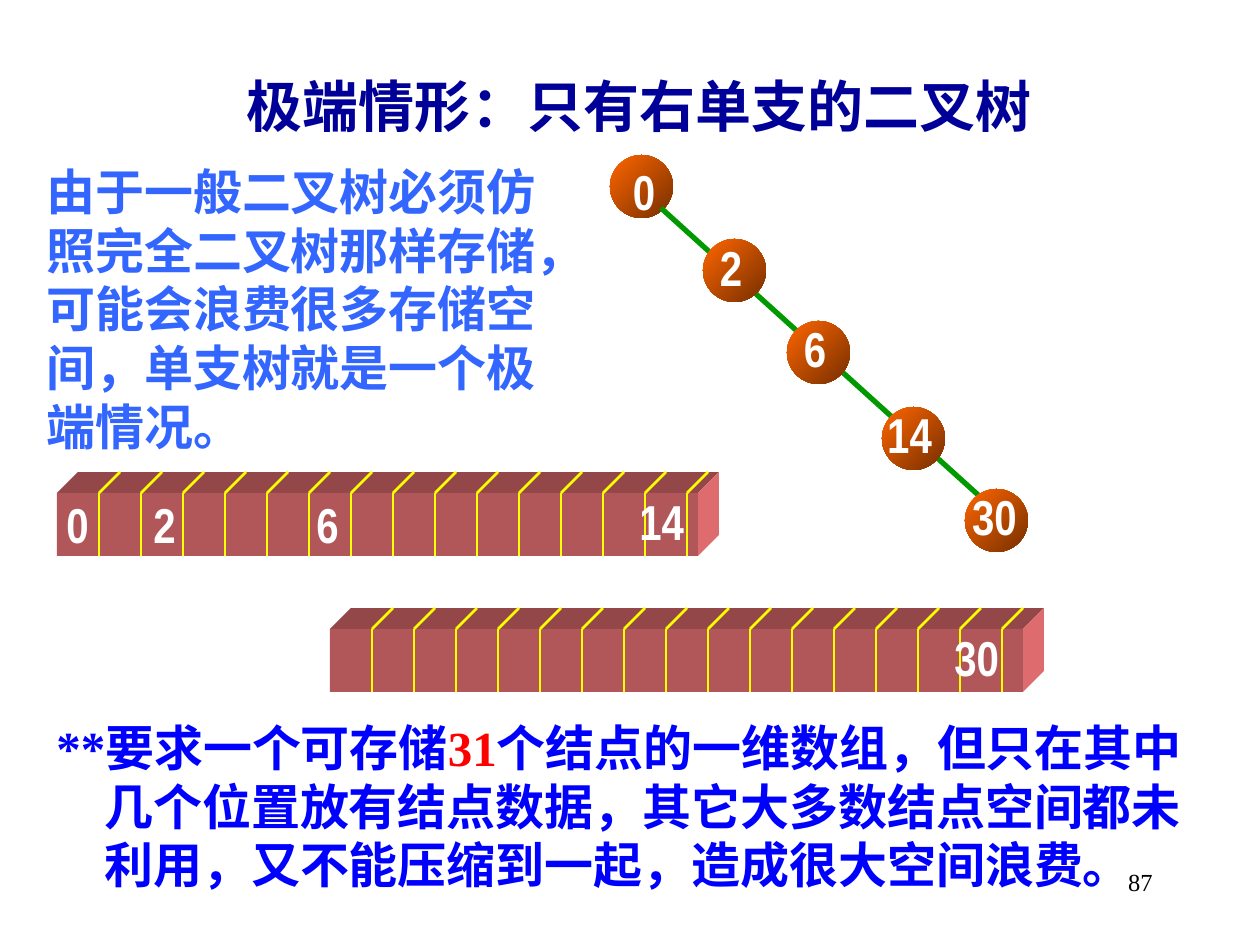
from lxml.etree import SubElement
from pptx import Presentation
from pptx.dml.color import RGBColor
from pptx.enum.shapes import MSO_CONNECTOR, MSO_SHAPE
from pptx.enum.text import MSO_ANCHOR as ANCHOR, PP_ALIGN as ALIGN
from pptx.oxml.ns import qn
from pptx.util import Emu, Pt

PX_PER_INCH = 126
SERIF = "Times New Roman"
NARROW = "Arial Narrow"

NODE = 63
CELL = 42
BAR_HEIGHT = 63
DEPTH = 21

# value, circle left, circle top, label left, label top
TREE = [
    ("0", 610, 155, 620, 155),
    ("2", 703, 239, 707, 231),
    ("6", 787, 321, 791, 312),
    ("14", 882, 407, 874, 398),
    ("30", 965, 489, 959, 480),
]
# left, top, width, divider count
BARS = [(57, 493, 641, 15), (330, 629, 693, 16)]
# value, label left, label top
CELL_LABELS = [
    ("0", 54, 488),
    ("2", 141, 488),
    ("6", 304, 488),
    ("14", 627, 485),
    ("30", 942, 621),
]


def px(length):
    return Emu(round(length * 914400 / PX_PER_INCH))


def color(code):
    return RGBColor.from_string(code)


def add_text(page, text, left, top, width, height, *, size=28, font=SERIF,
             fill="000000", bold=True, align=ALIGN.LEFT, anchor=ANCHOR.TOP,
             wrap=True, hanging=0):
    """Add a text box; text is a string or a list of (string, colour)."""
    box = page.shapes.add_textbox(px(left), px(top), px(width), px(height))
    frame = box.text_frame
    frame.word_wrap = wrap
    frame.vertical_anchor = anchor
    para = frame.paragraphs[0]
    para.alignment = align
    if hanging:
        properties = para._p.get_or_add_pPr()
        properties.set("marL", str(px(hanging)))
        properties.set("indent", str(-px(hanging)))
    spans = [(text, fill)] if isinstance(text, str) else text
    for words, span_color in spans:
        span = para.add_run()
        span.text = words
        span.font.size = Pt(size)
        span.font.name = font
        span.font.bold = bold
        span.font.color.rgb = color(span_color)


def add_number(page, value, left, top, align=ALIGN.LEFT):
    width = 48 if len(value) == 1 else 71
    add_text(page, value, left, top, width, 72, font=NARROW, fill="FFFFFF",
             align=align, anchor=ANCHOR.MIDDLE, wrap=False)


def add_line(page, x1, y1, x2, y2, line_color, weight):
    line = page.shapes.add_connector(
        MSO_CONNECTOR.STRAIGHT, px(x1), px(y1), px(x2), px(y2))
    line.line.color.rgb = color(line_color)
    line.line.width = Pt(weight)
    SubElement(line._element.spPr, qn("a:effectLst"))


def add_node(page, left, top):
    node = page.shapes.add_shape(
        MSO_SHAPE.OVAL, px(left), px(top), px(NODE), px(NODE))
    node.shadow.inherit = False
    node.fill.gradient()
    node.fill.gradient_angle = 315
    for stop, code, position in zip(
            node.fill.gradient_stops, ("FF6600", "762F00"), (0, 1)):
        stop.color.rgb = color(code)
        stop.position = position
    node.line.fill.background()


def add_face(page, points, fill):
    builder = page.shapes.build_freeform(
        *(px(value) for value in points[0]), scale=1.0)
    builder.add_line_segments([(px(x), px(y)) for x, y in points[1:]])
    paint(builder.convert_to_shape(), fill)


def paint(shape, fill):
    shape.shadow.inherit = False
    shape.fill.solid()
    shape.fill.fore_color.rgb = color(fill)
    shape.line.fill.background()


def add_bar(page, left, top, width, dividers):
    """Draw an array as a solid bar split into cells."""
    right, bottom = left + width, top + BAR_HEIGHT
    back_right, back_top = right + DEPTH, top - DEPTH
    add_face(page, [(left, top), (left + DEPTH, back_top),
                    (back_right, back_top), (right, top)], "934749")
    add_face(page, [(right, top), (back_right, back_top),
                    (back_right, bottom - DEPTH), (right, bottom)], "DE6B6E")
    front = page.shapes.add_shape(
        MSO_SHAPE.RECTANGLE, px(left), px(top), px(width), px(BAR_HEIGHT))
    paint(front, "B25759")
    for number in range(1, dividers + 1):
        x = left + number * CELL
        add_line(page, x, top, x, bottom, "FFFF00", 1.5)
        add_line(page, x, top, x + DEPTH, back_top, "FFFF00", 1.5)


def add_tree(page):
    for index, (_, left, top, _, _) in enumerate(TREE):
        add_node(page, left, top)
        if index == 0:
            add_line(page, 661, 208, 997, 512, "009900", 3)
    for value, _, _, left, top in TREE:
        add_number(page, value, left, top, ALIGN.CENTER)


def main():
    deck = Presentation()
    deck.slide_width, deck.slide_height = px(1260), px(945)
    page = deck.slides.add_slide(deck.slide_layouts[6])

    add_tree(page)
    add_text(page, "极端情形：只有右单支的二叉树", 223, 66, 833, 79, size=32,
             fill="000099", align=ALIGN.CENTER, anchor=ANCHOR.MIDDLE)
    for bar in BARS:
        add_bar(page, *bar)
    for label in CELL_LABELS:
        add_number(page, *label)
    add_text(page, "由于一般二叉树必须仿照完全二叉树那样存储，可能会浪费很多存储空间，"
             "单支树就是一个极端情况。", 34, 155, 516, 306, fill="3366FF")
    add_text(page, [
        ("**要求一个可存储", "0000FF"),
        ("31", "FF0000"),
        ("个结点的一维数组，但只在其中几个位置放有结点数据，其它大多数结点空间都未"
         "利用，又不能压缩到一起，造成很大空间浪费。", "0000FF"),
    ], 44, 711, 1187, 168, hanging=48)
    add_text(page, "87", 903, 861, 262, 63, size=14, bold=False,
             align=ALIGN.RIGHT)
    deck.save("out.pptx")


if __name__ == "__main__":
    main()
